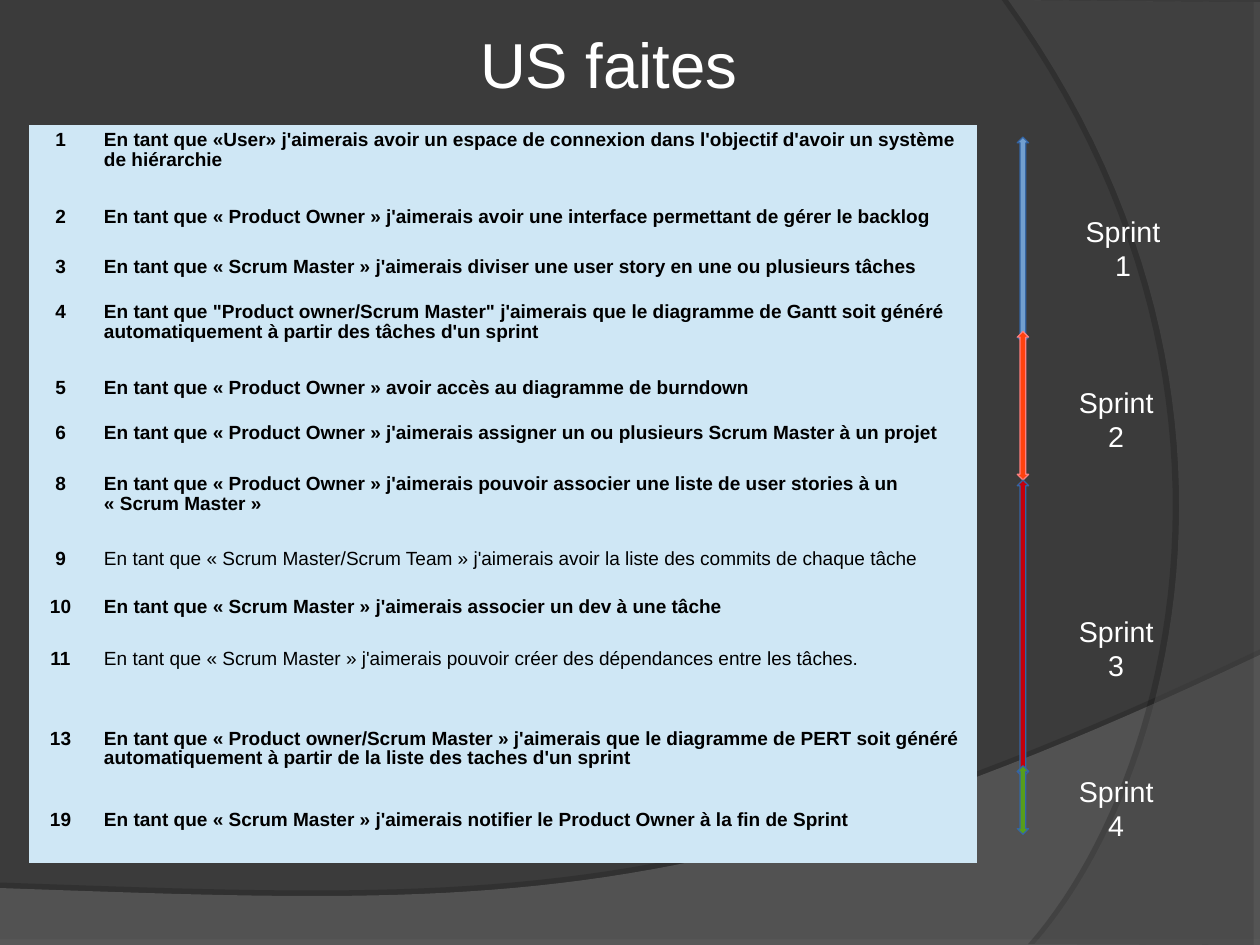
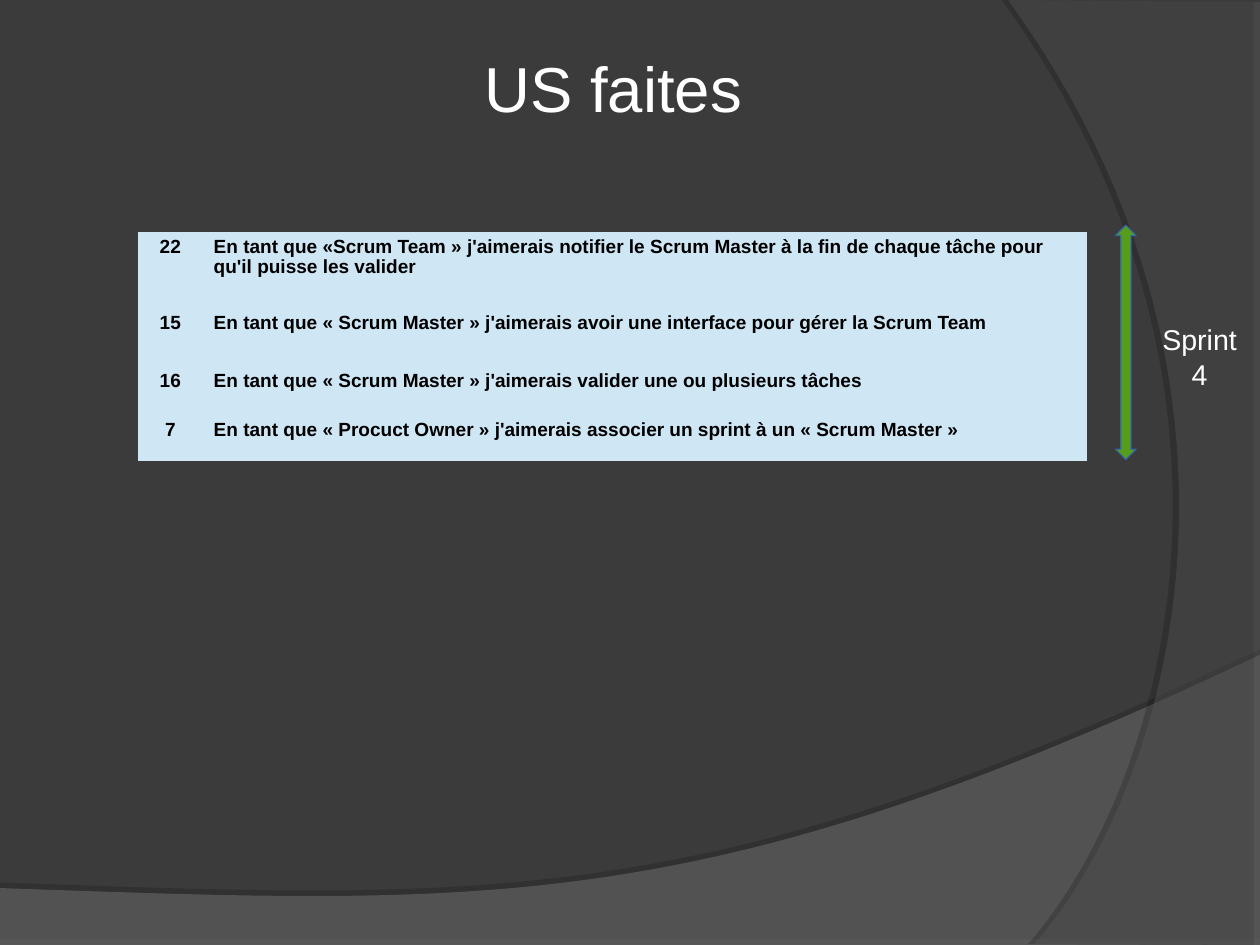
import dataclasses

import lxml.etree
import pptx
import pptx.dml.color
import pptx.enum.shapes
import pptx.enum.text
import pptx.oxml.ns
import pptx.presentation
import pptx.shapes.autoshape
import pptx.slide
import pptx.text.text
import pptx.util

Inches = pptx.util.Inches
Pt = pptx.util.Pt
Align = pptx.enum.text.PP_ALIGN
qn = pptx.oxml.ns.qn

FONT = "Arial"
WIDTH, HEIGHT = 28 / 2.54, 21 / 2.54
COLS = (0.56, 7.74)
LEADING = 0.93
HEAD = 0.2
STEPS = 48
NBSP = chr(160)
PLAIN = "{2D5ABB26-0587-4C30-8999-92F81FD0307C}"
COLORS = {
    "back": "3B3B3B",
    "wave": "7C7C7C",
    "arc": "595959",
    "shade": "000000",
    "cell": "CFE7F5",
    "ink": "000000",
    "white": "FFFFFF",
    "blue": "729FCF",
    "navy": "3465A4",
    "orange": "FF420E",
    "pink": "FF8080",
    "red": "C5000B",
    "green": "579D1C",
}

Point = tuple[float, float]


@dataclasses.dataclass(frozen=True)
class Band:
    start: Point
    lines: tuple[Point, ...]
    curve: tuple[Point, Point, Point]
    color: str
    alpha: int
    shade: int
    dist: float
    angle: int


@dataclasses.dataclass(frozen=True)
class Story:
    num: int
    text: str
    height: float
    bold: bool = True


@dataclasses.dataclass(frozen=True)
class Sprint:
    num: int
    left: float
    top: float
    width: float
    height: float
    label: Point
    fill: str
    line: str = "navy"


@dataclasses.dataclass(frozen=True)
class Page:
    title: Point
    table: Point
    stories: tuple[Story, ...]
    sprints: tuple[Sprint, ...]


BANDS = (
    Band((0, 7.77), ((0, HEIGHT), (WIDTH, HEIGHT), (WIDTH, 5.73)),
         ((6.16, 8.04), (4.31, 7.92), (0, 7.77)), "wave", 45, 35, 3.5, 270),
    Band((WIDTH, 0.02), ((WIDTH, HEIGHT), (9.05, 8.26)),
         ((10.3, 6.83), (11.22, 3.31), (8.82, 0)), "arc", 40, 45, 4, 180),
)

PAGES = (
    Page(
        (4.1, 0.19),
        (0.25, 1.09),
        (
            Story(1, "En tant que «User» j'aimerais avoir un espace de connexion dans l'objectif d'avoir un système de hiérarchie", 0.68),
            Story(2, "En tant que « Product Owner » j'aimerais avoir une interface permettant de gérer le backlog", 0.43),
            Story(3, "En tant que « Scrum Master » j'aimerais diviser une user story en une ou plusieurs tâches", 0.4),
            Story(4, "En tant que \"Product owner/Scrum Master\" j'aimerais que le diagramme de Gantt soit généré automatiquement à partir des tâches d'un sprint", 0.66),
            Story(5, "En tant que « Product Owner » avoir accès au diagramme de burndown", 0.4),
            Story(6, "En tant que « Product Owner » j'aimerais assigner un ou plusieurs Scrum Master à un projet", 0.44),
            Story(8, "En tant que « Product Owner » j'aimerais pouvoir associer une liste de user stories à un « Scrum Master »", 0.66),
            Story(9, "En tant que « Scrum Master/Scrum Team » j'aimerais avoir la liste des commits de chaque tâche", 0.42, False),
            Story(10, "En tant que « Scrum Master » j'aimerais associer un dev à une tâche", 0.45),
            Story(11, "En tant que « Scrum Master » j'aimerais pouvoir créer des dépendances entre les tâches.", 0.7, False),
            Story(13, "En tant que « Product owner/Scrum Master » j'aimerais que le diagramme de PERT soit généré automatiquement à partir de la liste des taches d'un sprint", 0.71),
            Story(19, "En tant que « Scrum Master » j'aimerais notifier le Product Owner à la fin de Sprint", 0.51),
        ),
        (
            Sprint(1, 8.9, 1.2, 0.1, 1.8, (9.3, 1.82), "blue"),
            Sprint(2, 8.9, 2.9, 0.1, 1.3, (9.24, 3.32), "orange", "pink"),
            Sprint(3, 8.9, 4.2, 0.1, 2.6, (9.24, 5.32), "red"),
            Sprint(4, 8.9, 6.7, 0.1, 0.6, (9.24, 6.72), "green"),
        ),
    ),
    Page(
        (4.14, 0.4),
        (1.21, 2.03),
        (
            Story(22, "En tant que «Scrum Team » j'aimerais notifier le Scrum Master à la fin de chaque tâche pour qu'il puisse les valider", 0.66),
            Story(15, "En tant que « Scrum Master » j'aimerais avoir une interface pour gérer la Scrum Team", 0.51),
            Story(16, "En tant que « Scrum Master » j'aimerais valider une ou plusieurs tâches", 0.43),
            Story(7, "En tant que « Procuct Owner » j'aimerais associer un sprint à un « Scrum Master »", 0.4),
        ),
        (Sprint(4, 9.76, 1.97, 0.18, 2.05, (9.97, 2.77), "green"),),
    ),
)


def color(name: str) -> pptx.dml.color.RGBColor:
    return pptx.dml.color.RGBColor.from_string(COLORS[name])


def bind(text: str) -> str:
    return text.replace("« ", "«" + NBSP).replace(" »", NBSP + "»")


def style(para: pptx.text.text._Paragraph, size: float, ink: str,
          align: Align, bold: bool = False) -> None:
    para.alignment = align
    para.font.name = FONT
    para.font.size = Pt(size)
    para.font.bold = bold
    para.font.color.rgb = color(ink)


def paint(shape: pptx.shapes.autoshape.Shape, fill: str) -> None:
    shape.shadow.inherit = False
    shape.fill.solid()
    shape.fill.fore_color.rgb = color(fill)


def trace(start: Point, curve: tuple[Point, Point, Point]) -> list[Point]:
    dots = (start, *curve)
    points = []
    for step in range(1, STEPS + 1):
        t = step / STEPS
        u = 1 - t
        parts = (u ** 3, 3 * u * u * t, 3 * u * t * t, t ** 3)
        points.append((sum(w * x for w, (x, _) in zip(parts, dots)),
                       sum(w * y for w, (_, y) in zip(parts, dots))))
    return points


def fade(tint: lxml.etree._Element, alpha: int) -> None:
    lxml.etree.SubElement(tint, qn("a:alpha"), val=str(alpha * 1000))


def add_band(deck: pptx.presentation.Presentation, slide: pptx.slide.Slide,
             band: Band, place: int) -> None:
    points = [*band.lines, *trace(band.lines[-1], band.curve)]
    form = slide.shapes.build_freeform(Inches(band.start[0]), Inches(band.start[1]))
    form.add_line_segments([(Inches(x), Inches(y)) for x, y in points])
    shape = form.convert_to_shape()
    paint(shape, band.color)
    shape.line.fill.background()
    fade(next(shape.element.iter(qn("a:srgbClr"))), band.alpha)
    cast = lxml.etree.SubElement(
        next(shape.element.iter(qn("a:effectLst"))), qn("a:outerShdw"),
        blurRad="0", dist=str(Pt(band.dist)), dir=str(band.angle * 60000),
        algn="ctr", rotWithShape="0")
    tint = lxml.etree.SubElement(cast, qn("a:srgbClr"), val=COLORS["shade"])
    fade(tint, band.shade)
    deck.slide_master.shapes.element.insert(place, shape.element)


def add_title(slide: pptx.slide.Slide, spot: Point) -> None:
    title = slide.shapes.title
    title.left, title.top = Inches(spot[0]), Inches(spot[1])
    title.width, title.height = Inches(2.52), Inches(0.72)
    frame = title.text_frame
    frame.text = "US faites"
    frame.word_wrap = False
    frame.auto_size = pptx.enum.text.MSO_AUTO_SIZE.NONE
    frame.vertical_anchor = pptx.enum.text.MSO_ANCHOR.TOP
    frame.margin_left = frame.margin_right = Inches(0.1)
    frame.margin_top, frame.margin_bottom = Inches(0.09), Inches(0.05)
    para = frame.paragraphs[0]
    para.line_spacing = LEADING
    style(para, 40, "white", Align.LEFT)


def add_list(slide: pptx.slide.Slide, spot: Point,
             stories: tuple[Story, ...]) -> None:
    high = sum(story.height for story in stories)
    frame = slide.shapes.add_table(
        len(stories), len(COLS), Inches(spot[0]), Inches(spot[1]),
        Inches(sum(COLS)), Inches(high))
    table = frame.table
    table.first_row = table.horz_banding = False
    next(frame.element.iter(qn("a:tableStyleId"))).text = PLAIN
    for col, width in zip(table.columns, COLS):
        col.width = Inches(width)
    for row, story in zip(table.rows, stories):
        row.height = Inches(story.height)
        texts = ((str(story.num), Align.CENTER, True),
                 (bind(story.text), Align.LEFT, story.bold))
        for cell, (text, align, bold) in zip(row.cells, texts):
            cell.fill.solid()
            cell.fill.fore_color.rgb = color("cell")
            cell.text = text
            para = cell.text_frame.paragraphs[0]
            para.line_spacing = LEADING
            style(para, 12, "ink", align, bold)


def add_sprint(slide: pptx.slide.Slide, sprint: Sprint) -> None:
    arrow = slide.shapes.add_shape(
        pptx.enum.shapes.MSO_SHAPE.UP_DOWN_ARROW,
        Inches(sprint.left), Inches(sprint.top),
        Inches(sprint.width), Inches(sprint.height))
    arrow.adjustments[0] = HEAD * sprint.height / sprint.width
    arrow.adjustments[1] = 0.5
    paint(arrow, sprint.fill)
    arrow.line.color.rgb = color(sprint.line)
    arrow.line.width = Pt(0.75)
    left, top = sprint.label
    label = slide.shapes.add_textbox(
        Inches(left), Inches(top), Inches(1.05), Inches(0.38))
    frame = label.text_frame
    frame.word_wrap = True
    frame.text = f"Sprint {sprint.num}"
    style(frame.paragraphs[0], 18, "white", Align.CENTER)


def main() -> None:
    deck = pptx.Presentation()
    deck.slide_width, deck.slide_height = Inches(WIDTH), Inches(HEIGHT)
    back = deck.slide_master.background.fill
    back.solid()
    back.fore_color.rgb = color("back")
    layout = deck.slide_layouts.get_by_name("Title Only")
    slides = [deck.slides.add_slide(layout) for _ in PAGES]
    for place, band in enumerate(BANDS, 2):
        add_band(deck, slides[0], band, place)
    for slide, page in zip(slides, PAGES):
        add_list(slide, page.table, page.stories)
        for sprint in page.sprints:
            add_sprint(slide, sprint)
        add_title(slide, page.title)
    deck.save("out.pptx")


if __name__ == "__main__":
    main()
